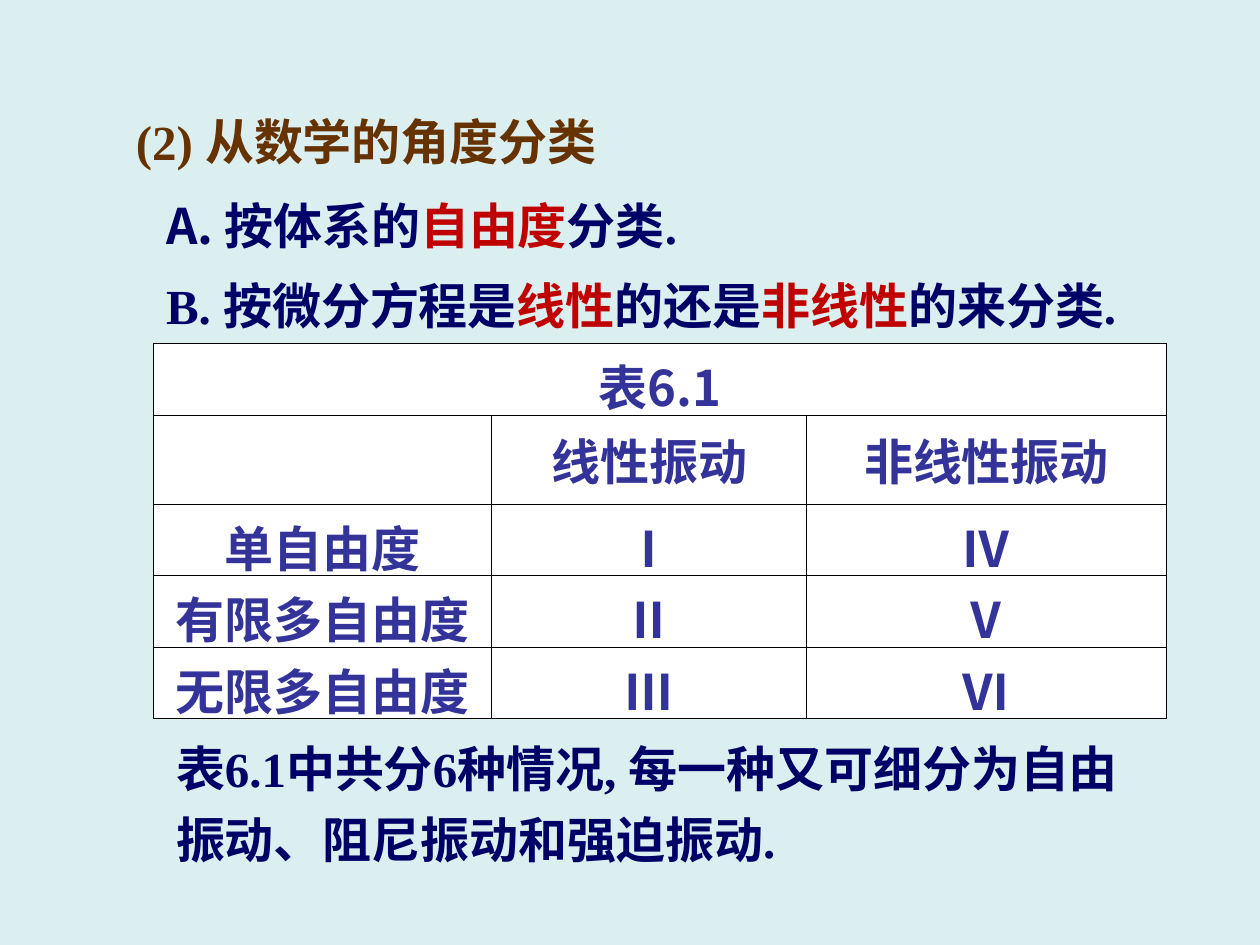
"""Build the slide that classes vibrations from the mathematical angle."""
import pptx
import pptx.dml.color
import pptx.enum.text
import pptx.oxml
import pptx.util

Cm = pptx.util.Cm
NAVY, RED, BROWN, BLUE = "000066", "C00000", "663300", "333399"
SANS, SERIF = "Noto Sans CJK SC", "Times New Roman"
NS = 'xmlns:a="http://schemas.openxmlformats.org/drawingml/2006/main"'


def tint(code):
    return pptx.dml.color.RGBColor.from_string(code)


def write(frame, *runs, font=SERIF, space=None, align=None, hang=False, mark=""):
    frame.word_wrap = True
    para = frame.paragraphs[0]
    para.line_spacing = space
    para.alignment = align
    props = para._p.get_or_add_pPr()
    if hang:
        props.set("marL", str(Cm(0.95)))
        props.set("indent", str(-Cm(0.95)))
    if mark:
        for xml in (f'<a:buClr {NS}><a:srgbClr val="{NAVY}"/></a:buClr>',
                    f'<a:buFont {NS} typeface="{SANS}"/>',
                    f'<a:buAutoNum {NS} type="{mark}"/>'):
            props.append(pptx.oxml.parse_xml(xml))
    for text, color in runs:
        run = para.add_run()
        run.text = text
        run.font.size = pptx.util.Pt(28)
        run.font.bold = True
        run.font.name = font
        run.font.color.rgb = tint(color)
        run._r.rPr.append(pptx.oxml.parse_xml(f'<a:ea {NS} typeface="{SANS}"/>'))


deck = pptx.Presentation()
deck.slide_width, deck.slide_height = Cm(25.4), Cm(19.05)
slide = deck.slides.add_slide(deck.slide_layouts[6])
slide.background.fill.solid()
slide.background.fill.fore_color.rgb = tint("DCEFF0")

notes = [
    ((2.49, 2.13, 13.2, 1.45), [("(2) 从数学的角度分类", BROWN)], {}),
    ((3.1, 3.53, 20.6, 1.75),
     [(" 按体系的", NAVY), ("自由度", RED), ("分类.", NAVY)],
     {"space": 1.25, "hang": True, "mark": "alphaUcPeriod"}),
    ((3.1, 5.13, 20.6, 1.75),
     [("B. 按微分方程是", NAVY), ("线性", RED), ("的还是", NAVY),
      ("非线性", RED), ("的来分类.", NAVY)],
     {"space": 1.25, "hang": True}),
    ((3.3, 14.53, 20.4, 3.1),
     [("表6.1中共分6种情况, 每一种又可细分为自由振动、阻尼振动和强迫振动.", NAVY)],
     {"space": 1.2}),
]
for place, runs, form in notes:
    box = slide.shapes.add_textbox(*map(Cm, place))
    write(box.text_frame, *runs, **form)

words = [
    ["表6.1", "", ""],
    ["", "线性振动", "非线性振动"],
    ["单自由度", "Ⅰ", "Ⅳ"],
    ["有限多自由度", "Ⅱ", "Ⅴ"],
    ["无限多自由度", "Ⅲ", "Ⅵ"],
]
wide = [6.81, 6.35, 7.25]
high = [1.44, 1.79, 1.44, 1.44, 1.44]
table = slide.shapes.add_table(
    len(high), len(wide), Cm(3.1), Cm(6.93), Cm(sum(wide)), Cm(sum(high))).table
table.first_row = table.horz_banding = False
for col, size in zip(table.columns, wide):
    col.width = Cm(size)
for row, size in zip(table.rows, high):
    row.height = Cm(size)
table.cell(0, 0).merge(table.cell(0, 2))
for y, line in enumerate(words):
    for x, word in enumerate(line):
        cell = table.cell(y, x)
        cell.vertical_anchor = pptx.enum.text.MSO_ANCHOR.MIDDLE
        props = cell._tc.get_or_add_tcPr()
        for side in ("lnL", "lnR", "lnT", "lnB"):
            props.append(pptx.oxml.parse_xml(
                f'<a:{side} {NS} w="5715"><a:solidFill><a:srgbClr val="000000"/>'
                f'</a:solidFill></a:{side}>'))
        cell.fill.solid()
        cell.fill.fore_color.rgb = tint("FFFFFF")
        if word:
            write(cell.text_frame, (word, BLUE), font=SANS, hang=True,
                  align=pptx.enum.text.PP_ALIGN.CENTER)

deck.save("out.pptx")
